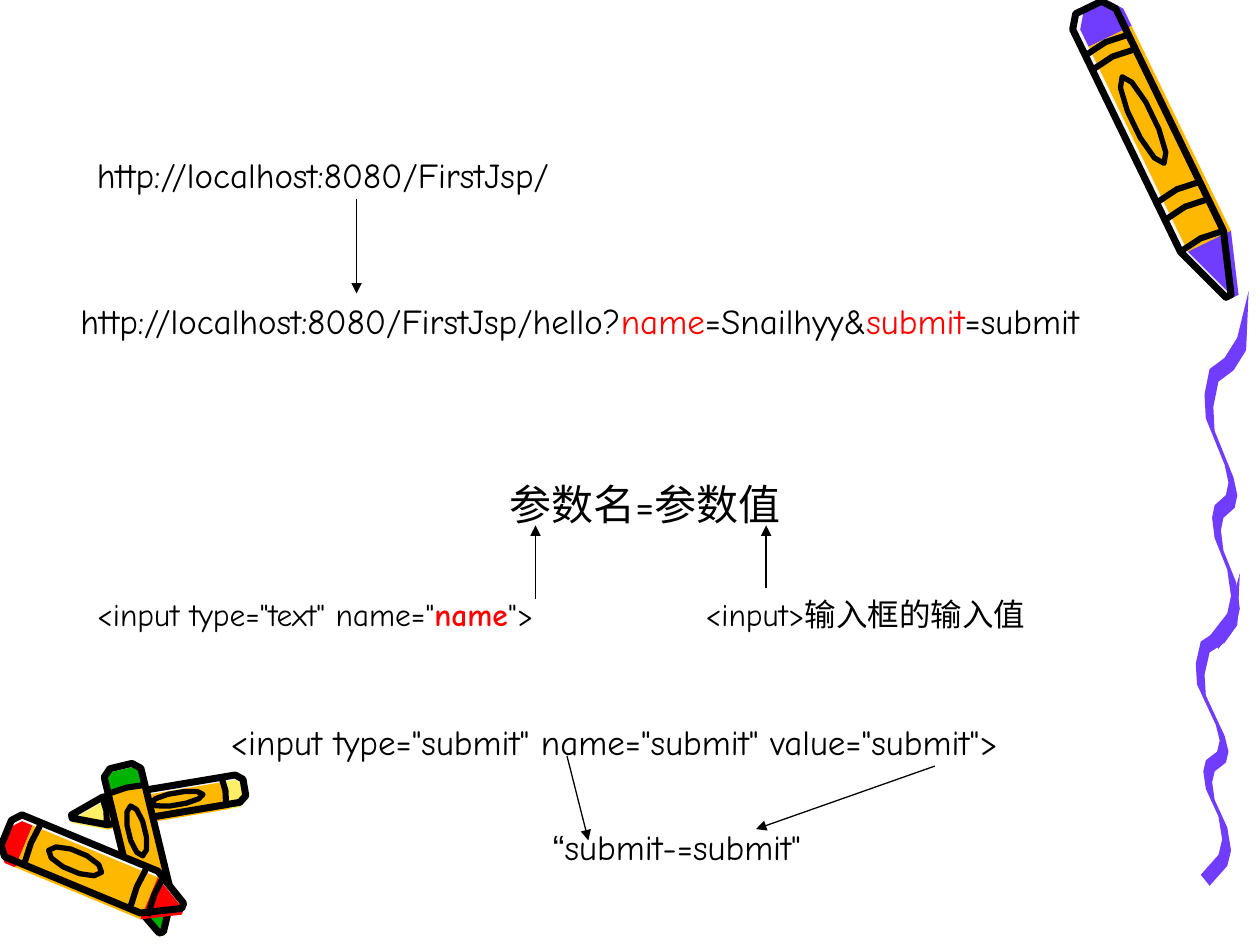
from dataclasses import dataclass
from math import cos, hypot, pi, sin

from lxml.etree import SubElement
from pptx import Presentation
from pptx.dml.color import RGBColor
from pptx.enum.shapes import MSO_CONNECTOR as Connector
from pptx.enum.text import MSO_ANCHOR as Anchor, MSO_AUTO_SIZE as AutoSize, PP_ALIGN as Align
from pptx.oxml.ns import qn
from pptx.util import Inches, Pt

BLACK = RGBColor(0x00, 0x00, 0x00)
RED = RGBColor(0xFF, 0x00, 0x00)
PURPLE = RGBColor(0x70, 0x3D, 0xFF)
ORANGE = RGBColor(0xFF, 0xB8, 0x00)
YELLOW = RGBColor(0xFF, 0xEF, 0x66)
GREEN = RGBColor(0x00, 0xB2, 0x00)
PAPER = RGBColor(0xF8, 0xF8, 0xF8)
FONT = "Comic Neue"


@dataclass
class Crayon:
    tail: tuple
    tip: tuple
    width: float
    color: RGBColor
    bands: tuple
    ink_shift: tuple

    def locate(self, along, across):
        """Turn a share of the length and of the half width into slide inches."""
        run, rise = (end - start for start, end in zip(self.tail, self.tip))
        reach = across * self.width / 2 / hypot(run, rise)
        return (self.tail[0] + along * run + reach * rise,
                self.tail[1] + along * rise - reach * run)

    def trace(self, profile, shift=(0, 0)):
        points = (self.locate(*place) for place in profile)
        return [(x + shift[0], y + shift[1]) for x, y in points]


SHOULDER = 0.81
CAP_END = 0.1
BARREL = [(0, -0.6), (0, 0.6), (0.04, 1), (SHOULDER, 1), (1, 0.12),
          (1, -0.12), (SHOULDER, -1), (0.04, -1)]
CAP = [(0, -0.6), (0, 0.6), (0.04, 1), (CAP_END, 1), (CAP_END, -1), (0.04, -1)]
BODY = [(CAP_END, -1), (CAP_END, 1), (SHOULDER, 1), (SHOULDER, -1)]
POINT = [(SHOULDER, -1), (SHOULDER, 1), (1, 0.12), (1, -0.12)]
LABEL_CENTER, LABEL_LENGTH, LABEL_WIDTH, LABEL_CORNERS = 0.39, 0.15, 0.45, 10
LABEL = [(LABEL_CENTER + LABEL_LENGTH * cos(2 * pi * corner / LABEL_CORNERS),
          LABEL_WIDTH * sin(2 * pi * corner / LABEL_CORNERS))
         for corner in range(LABEL_CORNERS)]

CRAYONS = [
    Crayon((8.64, 0.06), (9.75, 2.35), 0.38, PURPLE, (0.13, 0.18, 0.64, 0.7, SHOULDER), (0.06, 0)),
    Crayon((1.94, 6.25), (0.57, 6.48), 0.22, YELLOW, (0.12, SHOULDER), (0, 0.04)),
    Crayon((0.96, 6.08), (1.28, 7.4), 0.3, GREEN, (0.14, SHOULDER), (0, 0.03)),
    Crayon((0.05, 6.61), (1.45, 7.19), 0.36, RED, (0.15, 0.75, 0.85), (0, 0.05)),
]

STROKE_SHIFT = (0.07, 0.1)
STROKE_HEIGHT = 2.84
STROKE_EDGE = [
    (0.35, 0), (0.26, 0.37), (0.16, 0.53), (0.04, 0.62), (0, 0.82), (0.01, 1.01),
    (0.16, 1.38), (0.19, 1.52), (0.17, 1.62), (0.08, 1.7), (0.06, 1.8), (0.08, 1.96),
    (0.18, 2.21), (0.21, 2.42), (0.18, 2.56), (0.04, 2.74),
]
STROKES = [(9.49, 4.55, 2.48), (9.56, 2.31, STROKE_HEIGHT)]

SUBMIT_TAG = '<input type="submit" name="submit" value="submit">'
TEXT_BOXES = [
    ((0.67, 4.67, 4.58, 0.4), True, 0, 18,
     [('<input type="text" name="', {}), ("name", {"color": RED, "bold": True}), ('">', {})]),
    ((5.5, 4.67, 3.83, 0.4), True, 0, 18, [("<input>输入框的输入值", {})]),
    ((1.73, 5.67, 6.3, 0.44), False, 0, 20, [(SUBMIT_TAG, {})]),
    ((4.29, 6.5, 2.17, 0.44), False, 0, 20, [("“", {"name": "Arial"}), ('submit-=submit"', {})]),
    ((0.54, 2.33, 8.25, 0.44), True, 12.5, 20,
     [("http://localhost:8080/FirstJsp/hello?", {}), ("name", {"color": RED}),
      ("=Snailhyy&", {}), ("submit", {"color": RED}), ("=submit", {})]),
    ((0.67, 1.17, 6.67, 0.44), True, 12.5, 20, [("http://localhost:8080/FirstJsp/", {})]),
]
ARROWS = [
    (4.25, 4.75, 4.25, 4.17),
    (6.08, 4.67, 6.08, 4.17),
    (4.5, 6, 4.67, 6.67),
    (7.42, 6.08, 6, 6.58),
    (2.83, 1.58, 2.83, 2.33),
]


def add_freeform(slide, points, fill=None, line_width=0, close=True):
    corners = [(Inches(x), Inches(y)) for x, y in points]
    builder = slide.shapes.build_freeform(*corners[0])
    builder.add_line_segments(corners[1:], close=close)
    shape = builder.convert_to_shape()
    shape.shadow.inherit = False
    if fill is None:
        shape.fill.background()
    else:
        shape.fill.solid()
        shape.fill.fore_color.rgb = fill
    if line_width:
        shape.line.color.rgb = BLACK
        shape.line.width = Pt(line_width)
    else:
        shape.line.fill.background()


def add_crayon(slide, crayon):
    add_freeform(slide, crayon.trace(BARREL), PAPER)
    for profile, color in ((CAP, crayon.color), (BODY, ORANGE), (POINT, crayon.color)):
        add_freeform(slide, crayon.trace(profile, crayon.ink_shift), color)
    for profile, width in ((BARREL, 4), (LABEL, 3)):
        add_freeform(slide, crayon.trace(profile), line_width=width)
    for along in crayon.bands:
        band = [(along, -1), (along - 0.01, 0), (along, 1)]
        add_freeform(slide, crayon.trace(band), line_width=3.5, close=False)


def add_crayon_stroke(slide, left, top, height):
    stretch = height / STROKE_HEIGHT
    shift_x, shift_y = STROKE_SHIFT
    far_edge = [(x + shift_x, y + shift_y) for x, y in reversed(STROKE_EDGE[1:])]
    ribbon = [(left + x, top + y * stretch) for x, y in STROKE_EDGE + far_edge]
    add_freeform(slide, ribbon, PURPLE)


def add_arrow(slide, ends):
    connector = slide.shapes.add_connector(Connector.STRAIGHT, *map(Inches, ends))
    connector.line.color.rgb = BLACK
    connector.line.width = Pt(0.75)
    properties = connector._element.spPr
    SubElement(properties.find(qn("a:ln")), qn("a:tailEnd"), type="triangle")
    SubElement(properties, qn("a:effectLst"))


def add_run(paragraph, text, size, changes):
    run = paragraph.add_run()
    run.text = text
    formats = {"name": FONT, "size": Pt(size), "bold": False, "color": BLACK, **changes}
    run.font.color.rgb = formats.pop("color")
    for name, value in formats.items():
        setattr(run.font, name, value)


def add_text(slide, box, wrap, space_before, size, runs):
    frame = slide.shapes.add_textbox(*map(Inches, box)).text_frame
    frame.word_wrap = wrap
    frame.auto_size = AutoSize.SHAPE_TO_FIT_TEXT
    paragraph = frame.paragraphs[0]
    paragraph.space_before = Pt(space_before)
    for text, changes in runs:
        add_run(paragraph, text, size, changes)


def fill_title(slide):
    title = slide.shapes.title
    place = {"left": 1.33, "top": 3.58, "width": 7.58, "height": 0.67}
    for name, value in place.items():
        setattr(title, name, Inches(value))
    frame = title.text_frame
    frame.vertical_anchor = Anchor.BOTTOM
    frame.auto_size = AutoSize.NONE
    paragraph = frame.paragraphs[0]
    paragraph.alignment = Align.CENTER
    add_run(paragraph, "参数名=参数值", 24, {})


def main():
    presentation = Presentation()
    presentation.slide_width = Inches(10)
    presentation.slide_height = Inches(7.5)
    slide = presentation.slides.add_slide(presentation.slide_layouts[5])
    for stroke in STROKES:
        add_crayon_stroke(slide, *stroke)
    for crayon in CRAYONS:
        add_crayon(slide, crayon)
    fill_title(slide)
    for text_box in TEXT_BOXES:
        add_text(slide, *text_box)
    for ends in ARROWS:
        add_arrow(slide, ends)
    presentation.save("out.pptx")


if __name__ == "__main__":
    main()
